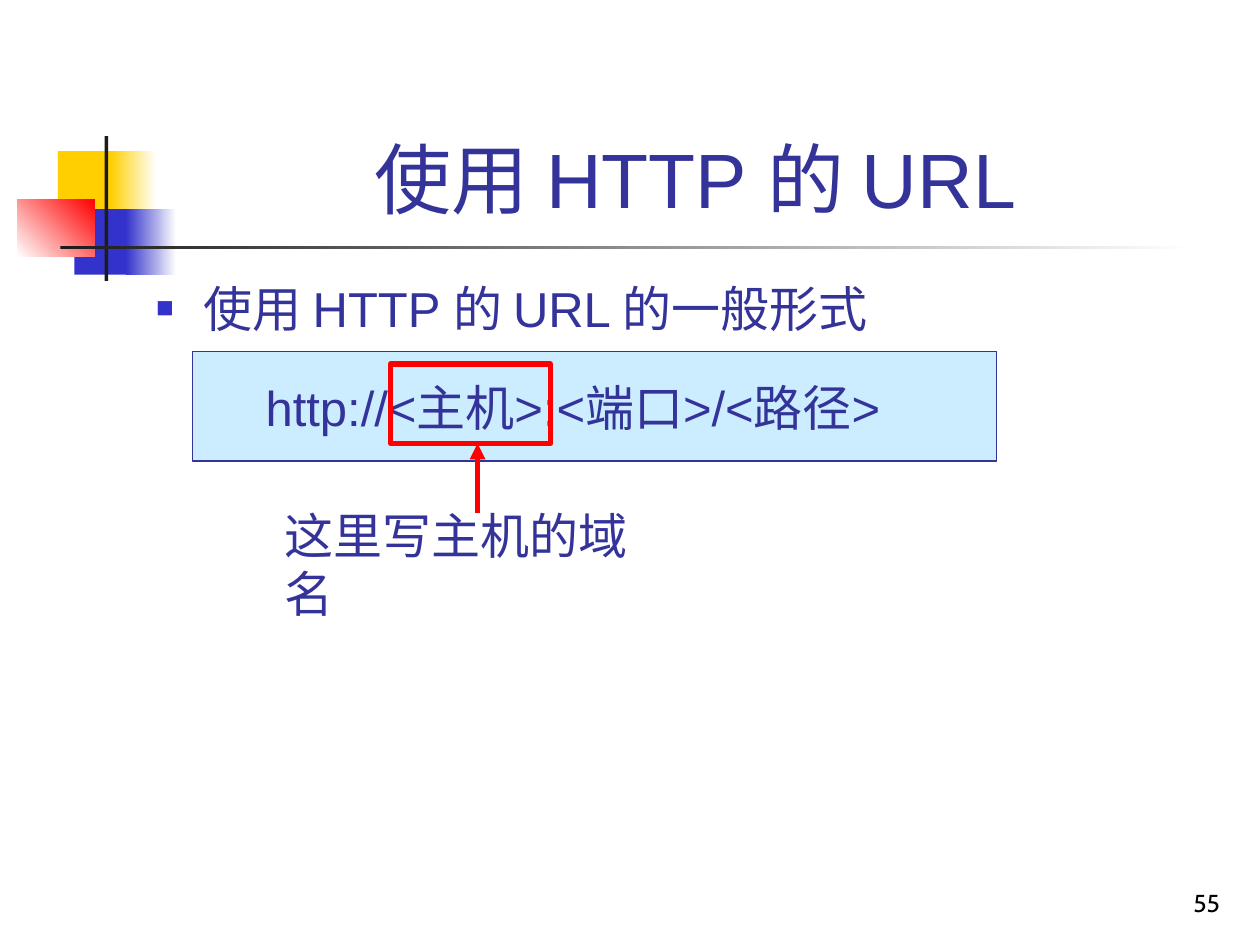
from lxml import etree
from pptx import Presentation, util as u
from pptx.dml.color import RGBColor
from pptx.enum import shapes, text
from pptx.oxml.ns import qn

COLORS = {
    "white": "FFFFFF", "yellow": "FFCF01", "blue": "3333CC", "red": "FF0000",
    "dark": "1C1C1C", "panel": "CCECFF", "ink": "333399", "black": "000000",
}


def add_rectangle(box, fill=None, fade_to=None, angle=0, line=None, width=0.75):
    """Draw a rectangle; fade_to turns the fill into a two-stop gradient."""
    shape = slide.shapes.add_shape(
        shapes.MSO_SHAPE.RECTANGLE, *[u.Inches(value) for value in box])
    shape.shadow.inherit = False
    if fade_to:
        shape.fill.gradient()
        shape.fill.gradient_angle = angle
        for stop, name in zip(shape.fill.gradient_stops, (fill, fade_to)):
            stop.color.rgb = RGBColor.from_string(COLORS[name])
    elif fill:
        shape.fill.solid()
        shape.fill.fore_color.rgb = RGBColor.from_string(COLORS[fill])
    else:
        shape.fill.background()
    if line:
        shape.line.color.rgb = RGBColor.from_string(COLORS[line])
        shape.line.width = u.Pt(width)
    else:
        shape.line.fill.background()


def add_text(box, lines, size, font="Arial", color="ink", wrap=True,
             align=text.PP_ALIGN.LEFT, anchor=text.MSO_ANCHOR.TOP):
    """Add a text box with one paragraph per line and return its paragraphs."""
    frame = slide.shapes.add_textbox(*[u.Inches(value) for value in box]).text_frame
    frame.word_wrap = wrap
    frame.vertical_anchor = anchor
    for index, line in enumerate(lines):
        paragraph = frame.add_paragraph() if index else frame.paragraphs[0]
        paragraph.alignment = align
        run = paragraph.add_run()
        run.text = line
        run.font.size = u.Pt(size)
        run.font.name = font
        run.font.color.rgb = RGBColor.from_string(COLORS[color])
    return frame.paragraphs


presentation = Presentation()
presentation.slide_width = u.Inches(10)
presentation.slide_height = u.Inches(7.5)
slide = presentation.slides.add_slide(presentation.slide_layouts[6])

# Corner decoration and title rule
for box, fill, fade_to, angle in [
    ((0.46, 1.2, 0.48, 0.52), "yellow", None, 0),
    ((0.88, 1.2, 0.36, 0.52), "yellow", "white", 0),
    ((0.59, 1.66, 0.46, 0.52), "blue", None, 0),
    ((1, 1.66, 0.4, 0.52), "blue", "white", 0),
    ((0.14, 1.58, 0.61, 0.46), "white", "red", 45),
    ((0.83, 1.08, 0.03, 1.15), "dark", None, 0),
    ((0.48, 1.95, 9, 0.03), "dark", "white", 0),
]:
    add_rectangle(box, fill, fade_to, angle)

# Panel behind the URL pattern
add_rectangle((1.53, 2.79, 6.38, 0.87), "panel", line="ink")

add_text((1.26, 0.23, 8.52, 1.6), ["使用 HTTP 的 URL"], 44,
         align=text.PP_ALIGN.CENTER, anchor=text.MSO_ANCHOR.BOTTOM)

heading, pattern = add_text(
    (1.14, 2.16, 8.5, 1.5),
    ["使用 HTTP 的 URL 的一般形式", "http://<主机>:<端口>/<路径>"], 28)
properties = heading._p.get_or_add_pPr()
properties.set("marL", str(u.Inches(0.38)))
properties.set("indent", str(u.Inches(-0.38)))
bullet_color = etree.SubElement(properties, qn("a:buClr"))
etree.SubElement(bullet_color, qn("a:srgbClr"), val=COLORS["blue"])
etree.SubElement(properties, qn("a:buSzPct"), val="60000")
etree.SubElement(properties, qn("a:buFont"), typeface="Arial")
etree.SubElement(properties, qn("a:buChar"), char="■")
pattern._p.get_or_add_pPr().set("marL", str(u.Inches(0.87)))
pattern.space_before = u.Pt(23)

# Host highlight with its arrow and label
add_rectangle((3.1, 2.89, 1.27, 0.63), line="red", width=3)
arrow = slide.shapes.add_connector(
    shapes.MSO_CONNECTOR.STRAIGHT,
    u.Inches(3.79), u.Inches(4.07), u.Inches(3.79), u.Inches(3.52))
arrow.line.color.rgb = RGBColor.from_string(COLORS["red"])
arrow.line.width = u.Pt(3)
etree.SubElement(arrow.line._get_or_add_ln(), qn("a:tailEnd"), type="triangle")
etree.SubElement(arrow._element.spPr, qn("a:effectLst"))
add_text((2.16, 3.96, 3.3, 0.57), ["这里写主机的域名"], 28, "Cabin", wrap=False)

# Slide number
add_text((7.7, 6.83, 2.08, 0.5), ["55"], 14, "Cabin", "black",
         align=text.PP_ALIGN.RIGHT, anchor=text.MSO_ANCHOR.BOTTOM)

presentation.save("out.pptx")
